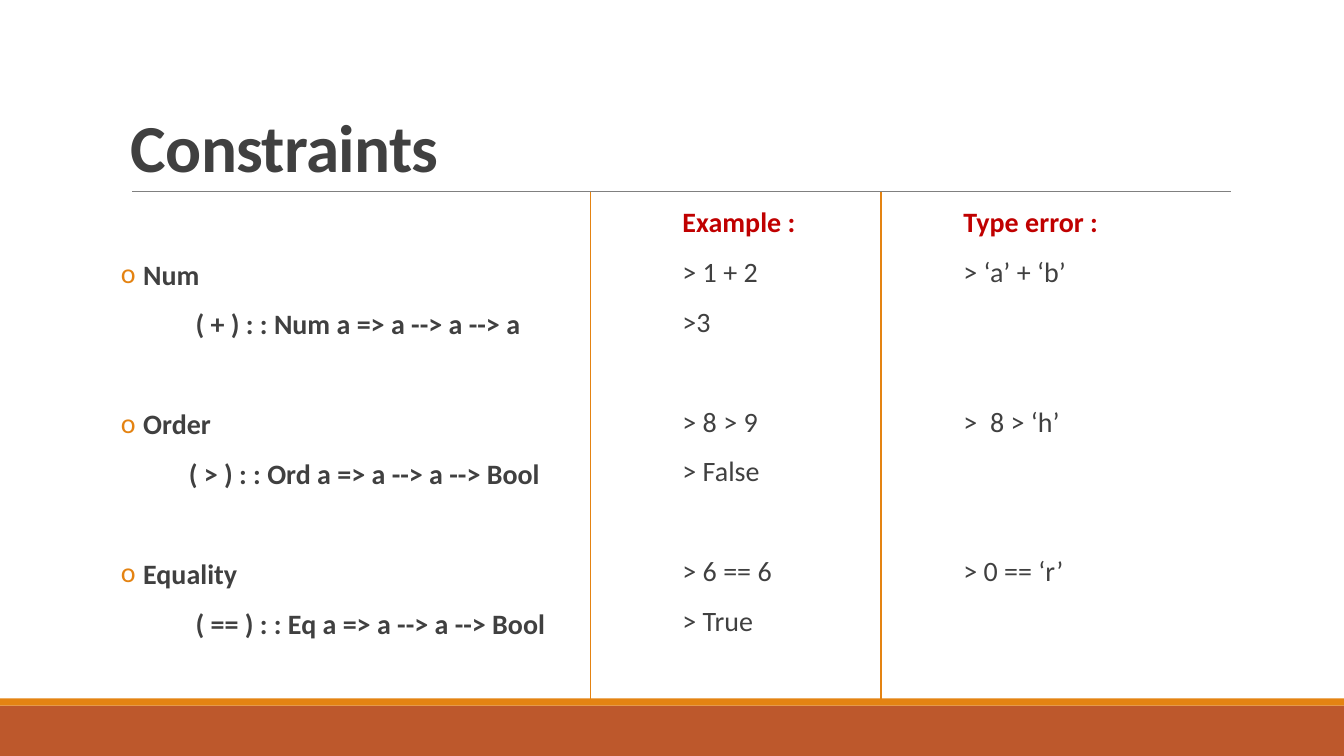
import dataclasses

import lxml.etree
import pptx
import pptx.dml.color
import pptx.enum.shapes
import pptx.enum.text
import pptx.oxml.ns
import pptx.shapes.autoshape
import pptx.slide
import pptx.text.text
import pptx.util
from pptx.util import Cm, Pt


@dataclasses.dataclass(frozen=True)
class Theme:
    font: str = "Calibri"
    text: str = "404040"
    heading: str = "C00000"
    accent: str = "E48312"
    footer: str = "BD582C"
    rule: str = "808080"
    title_size: float = 48
    body_size: float = 20
    space_before: float = 12
    space_after: float = 2
    row_pitch: float = 35.6


@dataclasses.dataclass(frozen=True)
class Line:
    text: str
    color: str
    bold: bool = False
    skipped_rows: int = 0
    indent: float = 0
    bullet: bool = False


@dataclasses.dataclass(frozen=True)
class Column:
    left: float
    top: float
    width: float
    height: float
    lines: list[Line]


@dataclasses.dataclass(frozen=True)
class Band:
    top: float
    height: float
    color: str


@dataclasses.dataclass(frozen=True)
class Rule:
    start: tuple[float, float]
    end: tuple[float, float]
    color: str
    weight: float


THEME = Theme()
SLIDE_WIDTH, SLIDE_HEIGHT = 33.87, 19.05
RULE_TOP, DIVIDER_BOTTOM = 4.83, 17.75
COLUMN_TOP, COLUMN_HEIGHT = 5.13, 11.18
BULLET_INDENT = 0.56


def constraint(name: str, signature: str, indent: float, skipped_rows: int = 1) -> list[Line]:
    return [
        Line(name, THEME.text, True, skipped_rows, BULLET_INDENT, True),
        Line(signature, THEME.text, True, indent=indent),
    ]


def sample(text: str, skipped_rows: int = 0) -> Line:
    return Line(text, THEME.text, skipped_rows=skipped_rows)


BANDS = [Band(17.78, 1.27, THEME.footer), Band(17.6, 0.18, THEME.accent)]

RULES = [
    Rule((3.33, RULE_TOP), (31.01, RULE_TOP), THEME.rule, 0.5),
    *(Rule((x, RULE_TOP), (x, DIVIDER_BOTTOM), THEME.accent, 1) for x in (14.88, 22.2)),
]

COLUMNS = [
    Column(3.05, 6.45, 11.8, 9.86, [
        *constraint("Num", "( + ) : : Num a => a --> a --> a", 1.88, 0),
        *constraint("Order", "( > ) : : Ord a => a --> a --> Bool", 1.71),
        *constraint("Equality", "( == ) : : Eq a => a --> a --> Bool", 1.88),
    ]),
    Column(17.2, COLUMN_TOP, 4.9, COLUMN_HEIGHT, [
        Line("Example :", THEME.heading, True),
        sample("> 1 + 2"), sample(">3"),
        sample("> 8 > 9", 1), sample("> False"),
        sample("> 6 == 6", 1), sample("> True"),
    ]),
    Column(24.28, COLUMN_TOP, 6.55, COLUMN_HEIGHT, [
        Line("Type error :", THEME.heading, True),
        sample("> ‘a’ + ‘b’"),
        sample(">  8 > ‘h’", 2),
        sample("> 0 == ‘r’", 2),
    ]),
]


def rgb(color: str) -> pptx.dml.color.RGBColor:
    return pptx.dml.color.RGBColor.from_string(color)


def draw_band(slide: pptx.slide.Slide, band: Band) -> None:
    shape = slide.shapes.add_shape(
        pptx.enum.shapes.MSO_SHAPE.RECTANGLE, 0, Cm(band.top), Cm(SLIDE_WIDTH), Cm(band.height))
    shape.shadow.inherit = False
    shape.fill.solid()
    shape.fill.fore_color.rgb = rgb(band.color)
    shape.line.fill.background()


def draw_rule(slide: pptx.slide.Slide, rule: Rule) -> None:
    connector = slide.shapes.add_connector(
        pptx.enum.shapes.MSO_CONNECTOR.STRAIGHT,
        *(Cm(value) for value in rule.start + rule.end))
    connector.line.color.rgb = rgb(rule.color)
    connector.line.width = Pt(rule.weight)
    properties = connector._element.spPr
    lxml.etree.SubElement(properties, pptx.oxml.ns.qn("a:effectLst"))


def add_text_box(slide: pptx.slide.Slide, left: float, top: float,
                 width: float, height: float) -> pptx.text.text.TextFrame:
    text_frame = slide.shapes.add_textbox(Cm(left), Cm(top), Cm(width), Cm(height)).text_frame
    text_frame.word_wrap = True
    return text_frame


def format_run(run: pptx.text.text._Run, size: float, color: str, bold: bool) -> None:
    run.font.name = THEME.font
    run.font.size = Pt(size)
    run.font.bold = bold
    run.font.color.rgb = rgb(color)


def set_indent(paragraph: pptx.text.text._Paragraph, line: Line) -> None:
    properties = paragraph._p.get_or_add_pPr()
    properties.set("marL", str(Cm(line.indent)))
    if line.bullet:
        properties.set("indent", str(-Cm(line.indent)))
        qn = pptx.oxml.ns.qn
        bullet_color = lxml.etree.SubElement(properties, qn("a:buClr"))
        lxml.etree.SubElement(bullet_color, qn("a:srgbClr"), val=THEME.accent)
        lxml.etree.SubElement(properties, qn("a:buFont"), typeface=THEME.font)
        lxml.etree.SubElement(properties, qn("a:buChar"), char="o")


def draw_title(slide: pptx.slide.Slide, title: str) -> None:
    text_frame = add_text_box(slide, 3.05, 0.79, 27.94, 4.04)
    text_frame.vertical_anchor = pptx.enum.text.MSO_ANCHOR.BOTTOM
    text_frame.text = title
    paragraph = text_frame.paragraphs[0]
    paragraph.line_spacing = 0.85
    run = paragraph.runs[0]
    format_run(run, THEME.title_size, THEME.text, True)
    run._r.get_or_add_rPr().set("spc", "-50")


def draw_column(slide: pptx.slide.Slide, column: Column) -> None:
    text_frame = add_text_box(slide, column.left, column.top, column.width, column.height)
    text_frame.margin_left = text_frame.margin_right = 0
    text_frame.text = "\n".join(line.text for line in column.lines)
    for paragraph, line in zip(text_frame.paragraphs, column.lines):
        paragraph.line_spacing = 0.9
        paragraph.space_before = Pt(THEME.space_before + line.skipped_rows * THEME.row_pitch)
        paragraph.space_after = Pt(THEME.space_after)
        set_indent(paragraph, line)
        format_run(paragraph.runs[0], THEME.body_size, line.color, line.bold)


def main() -> None:
    presentation = pptx.Presentation()
    presentation.slide_width = Cm(SLIDE_WIDTH)
    presentation.slide_height = Cm(SLIDE_HEIGHT)
    slide = presentation.slides.add_slide(presentation.slide_layouts[6])

    # Footer bands
    for band in BANDS:
        draw_band(slide, band)

    # Title and text columns
    draw_title(slide, "Constraints")
    for column in COLUMNS:
        draw_column(slide, column)

    # Title rule and column dividers
    for rule in RULES:
        draw_rule(slide, rule)

    presentation.save("out.pptx")


if __name__ == "__main__":
    main()
